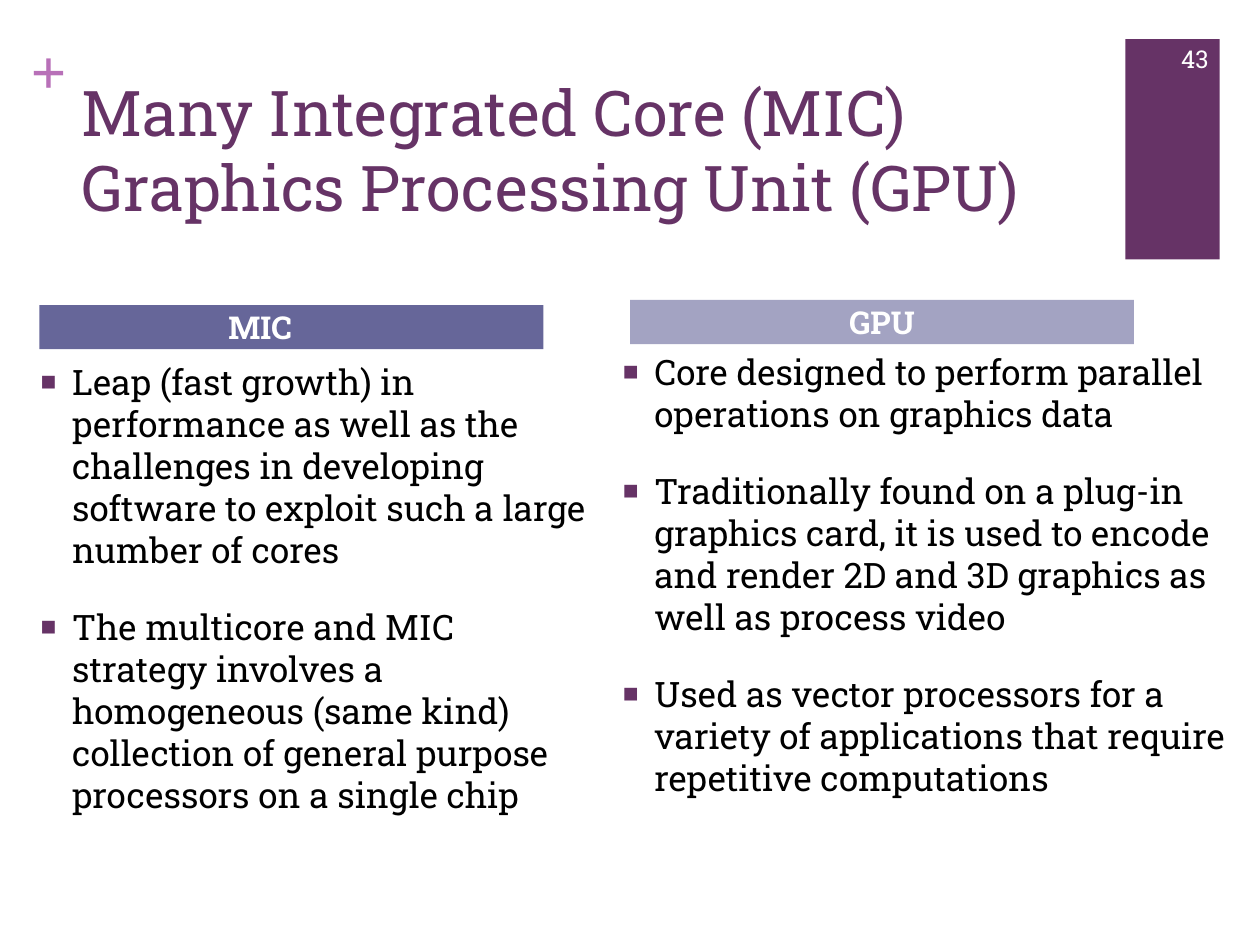
from lxml import etree
from pptx import Presentation
from pptx.dml.color import RGBColor
from pptx.enum.shapes import MSO_SHAPE
from pptx.enum.text import MSO_ANCHOR, MSO_AUTO_SIZE, PP_ALIGN
from pptx.oxml.ns import qn
from pptx.util import Pt

RECTANGLE = MSO_SHAPE.RECTANGLE
TOP, MIDDLE = MSO_ANCHOR.TOP, MSO_ANCHOR.MIDDLE
LEFT, CENTER, RIGHT = PP_ALIGN.LEFT, PP_ALIGN.CENTER, PP_ALIGN.RIGHT
NO_AUTOFIT = MSO_AUTO_SIZE.NONE
COMPARISON_LAYOUT = 4
PURPLE, WHITE, BLACK = "663366", "FFFFFF", "000000"
SLAB = "Roboto Slab"


def color(hex_string):
    return RGBColor.from_string(hex_string)


def set_text(box, bounds, lines, size, hex_color, align=LEFT, anchor=TOP,
             font=SLAB, bold=False):
    """Place a box and fill it with one formatted paragraph per line."""
    box.left, box.top, box.width, box.height = [Pt(value) for value in bounds]
    frame = box.text_frame
    frame.text = "\n".join(lines)
    frame.word_wrap = True
    frame.auto_size = NO_AUTOFIT
    frame.vertical_anchor = anchor
    for para in frame.paragraphs:
        para.alignment = align
        for span in para.runs:
            span.font.name = font
            span.font.size = Pt(size)
            span.font.bold = bold
            span.font.color.rgb = color(hex_color)
    return frame


deck = Presentation()
deck.slide_width, deck.slide_height = Pt(720), Pt(540)
page = deck.slides.add_slide(deck.slide_layouts[COMPARISON_LAYOUT])
holders = page.placeholders

# Corner block and plus sign
block = page.shapes.add_shape(RECTANGLE, Pt(643), Pt(22.3), Pt(54), Pt(126))
block.shadow.inherit = False
block.fill.solid()
block.fill.fore_color.rgb = color(PURPLE)
block.line.fill.background()

plus_box = page.shapes.add_textbox(0, 0, 0, 0)
plus_frame = set_text(plus_box, (17.5, 18, 21, 44), ["+"], 36, "B870B8",
                      font="Times New Roman", bold=True)
plus_frame.margin_left = plus_frame.margin_right = 0
plus_frame.margin_top = plus_frame.margin_bottom = 0

# Title, two lines in one paragraph
set_text(page.shapes.title, (39.6, 38.2, 595, 106),
         ["Many Integrated Core (MIC)\vGraphics Processing Unit (GPU)"], 36, PURPLE)

# Columns: header placeholder, header bounds, fill, list placeholder, list bounds
columns = [
    (1, "MIC\t", (22.5, 174.4, 288, 25.2), "666699", 2, (16, 202.3, 327, 264), [
        "Leap (fast growth) in performance as well as the challenges in "
        "developing software to exploit such a large number of cores",
        "The multicore and MIC strategy involves a homogeneous (same kind) "
        "collection of general purpose processors on a single chip",
    ]),
    (3, "GPU", (360, 171.4, 288, 25.2), "A3A3C2", 4, (348.7, 196.6, 371.3, 276), [
        "Core designed to perform parallel operations on graphics data",
        "Traditionally found on a plug-in graphics card, it is used to encode "
        "and render 2D and 3D graphics as well as process video",
        "Used as vector processors for a variety of applications that require "
        "repetitive computations",
    ]),
]
for header_id, heading, header_bounds, fill, list_id, list_bounds, points in columns:
    header = holders[header_id]
    header_frame = set_text(header, header_bounds, [heading], 18, WHITE,
                            CENTER, MIDDLE, bold=True)
    header_frame.margin_top = header_frame.margin_bottom = 0
    header.fill.solid()
    header.fill.fore_color.rgb = color(fill)

    list_frame = set_text(holders[list_id], list_bounds, points, 20, BLACK)
    for para in list_frame.paragraphs:
        para.space_before = Pt(20)
        # Square purple bullet with a hanging indent
        props = para._p.get_or_add_pPr()
        props.set("marL", str(Pt(18)))
        props.set("indent", str(-Pt(18)))
        bullet_color = etree.SubElement(props, qn("a:buClr"))
        etree.SubElement(bullet_color, qn("a:srgbClr"), val=PURPLE)
        etree.SubElement(props, qn("a:buSzPct"), val="75000")
        etree.SubElement(props, qn("a:buChar"), char="■")

# Page number
number_box = page.shapes.add_textbox(0, 0, 0, 0)
set_text(number_box, (653.8, 18.9, 44, 28.8), ["43"], 14, WHITE, RIGHT, MIDDLE)

deck.save("out.pptx")
